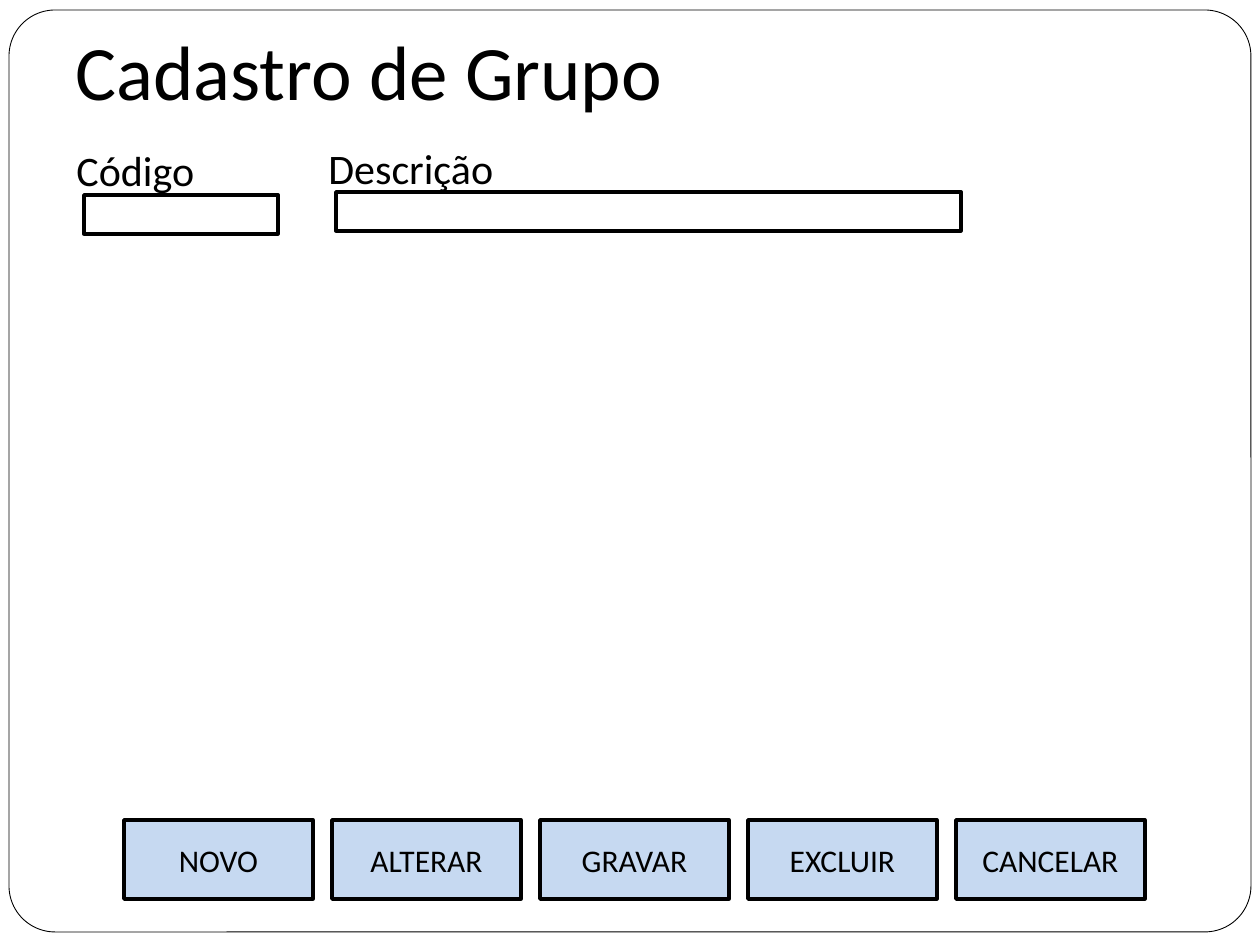
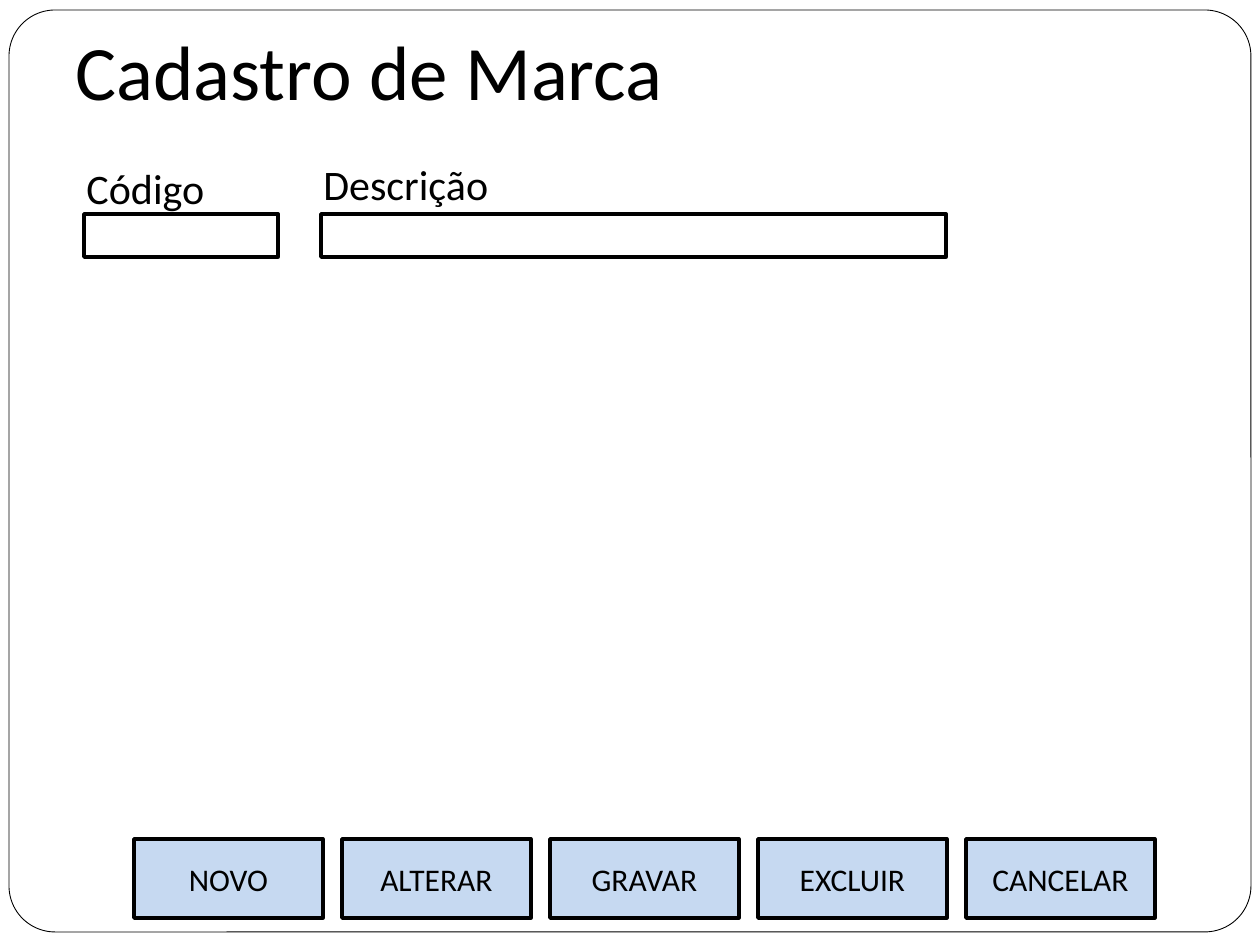
from dataclasses import dataclass
from pptx import Presentation
from pptx.dml.color import RGBColor
from pptx.enum.shapes import MSO_SHAPE
from pptx.enum.text import MSO_ANCHOR, PP_ALIGN
from pptx.util import Inches, Pt

SCALE = Inches(1) // 126


@dataclass(frozen=True)
class Theme:
    """Colours, type sizes and line widths of the forms."""
    font: str = "Calibri"
    ink: str = "000000"
    paper: str = "FFFFFF"
    key: str = "C6D9F1"
    title: int = 44
    label: int = 24
    button: int = 18
    thin: float = 0.5
    thick: float = 2


def px(n):
    """Turn pixels into EMU."""
    return n * SCALE


def write(shape, text, *, size, font, color, align=PP_ALIGN.LEFT,
          anchor=MSO_ANCHOR.TOP, pad=6):
    """Put formatted text into a shape."""
    frame = shape.text_frame
    frame.word_wrap = True
    frame.vertical_anchor = anchor
    frame.margin_top = frame.margin_bottom = px(pad)
    par = frame.paragraphs[0]
    par.alignment = align
    run = par.add_run()
    run.text = text
    run.font.size = Pt(size)
    run.font.name = font
    run.font.color.rgb = RGBColor.from_string(color)


class Form:
    """Draws form screens, one slide at a time."""

    def __init__(self, deck, theme):
        """Keep the deck and its style."""
        self.deck, self.theme, self.slide = deck, theme, None

    def start(self, title):
        """Add a slide with its frame and title."""
        t = self.theme
        self.slide = self.deck.slides.add_slide(self.deck.slide_layouts[6])
        frame = self.box(9, 10, 1242, 922, t.paper, t.thin,
                         MSO_SHAPE.ROUNDED_RECTANGLE)
        frame.adjustments[0] = 0.05
        self.text(63, 24, 1134, 131, title, size=t.title, pad=0)

    def box(self, x, y, w, h, fill, line, kind=MSO_SHAPE.RECTANGLE):
        """Draw a filled shape with an outline."""
        shape = self.slide.shapes.add_shape(kind, px(x), px(y), px(w), px(h))
        shape.shadow.inherit = False
        shape.fill.solid()
        shape.fill.fore_color.rgb = RGBColor.from_string(fill)
        shape.line.color.rgb = RGBColor.from_string(self.theme.ink)
        shape.line.width = Pt(line)
        return shape

    def text(self, x, y, w, h, words, **style):
        """Add a text box."""
        area = self.slide.shapes.add_textbox(px(x), px(y), px(w), px(h))
        write(area, words, font=self.theme.font, color=self.theme.ink, **style)

    def field(self, name, label, entry):
        """Add a label at (x, y, h) and an entry box at (x, y, w, h)."""
        x, y, h = label
        self.text(x, y, 297, h, name, size=self.theme.label)
        self.box(*entry, self.theme.paper, self.theme.thick)

    def buttons(self, x, y, names):
        """Add a row of equally spaced buttons."""
        t = self.theme
        for i, name in enumerate(names):
            key = self.box(x + 208 * i, y, 189, 79, t.key, t.thick)
            write(key, name, size=t.button, font=t.font, color=t.ink,
                  align=PP_ALIGN.CENTER, anchor=MSO_ANCHOR.MIDDLE)


ACTIONS = ("NOVO", "ALTERAR", "GRAVAR", "EXCLUIR", "CANCELAR")
# Title, fields (name, label place, entry place), first button
SCREENS = (
    ("Cadastro de Grupo",
     (("Código", (64, 139, 74), (84, 195, 194, 39)),
      ("Descrição", (316, 137, 74), (336, 192, 625, 39))),
     (124, 820)),
    ("Cadastro de Marca",
     (("Código", (74, 156, 55), (84, 214, 194, 43)),
      ("Descrição", (311, 152, 55), (321, 214, 625, 43))),
     (134, 839)),
)


def main():
    """Build and save the deck."""
    deck = Presentation()
    deck.slide_width, deck.slide_height = px(1260), px(945)
    form = Form(deck, Theme())
    for title, fields, first in SCREENS:
        form.start(title)
        for field in fields:
            form.field(*field)
        form.buttons(*first, ACTIONS)
    deck.save("out.pptx")


main()
